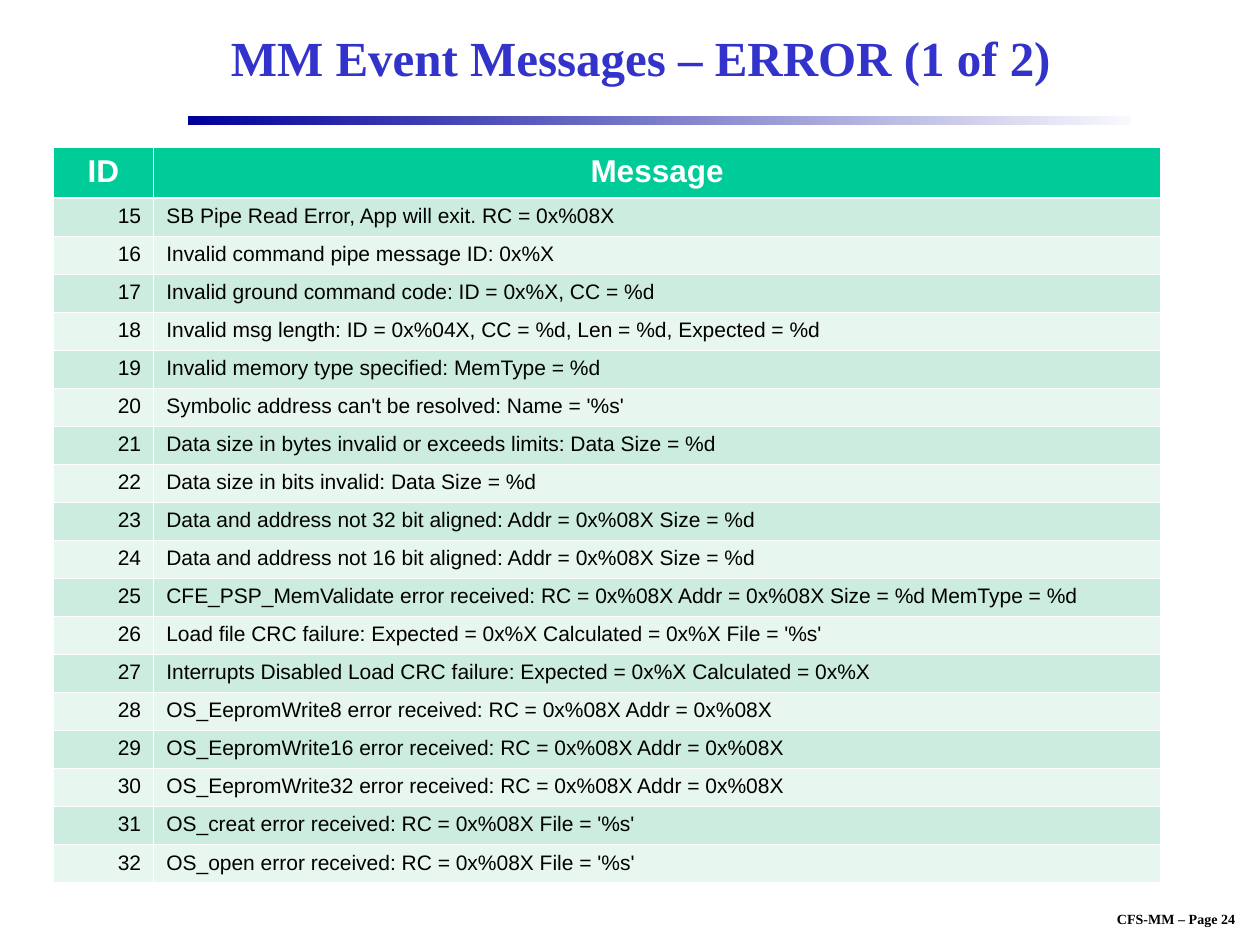
from pptx import Presentation
from pptx.dml.color import RGBColor
from pptx.enum.shapes import MSO_SHAPE as Shape
from pptx.enum.text import MSO_ANCHOR as Anchor, MSO_AUTO_SIZE as AutoSize, PP_ALIGN as Align
from pptx.oxml import parse_xml
from pptx.oxml.ns import nsdecls
from pptx.util import Inches, Pt

COLORS = {
    "title": "3333CC",
    "bar_start": "000099",
    "bar_end": "F9F9FD",
    "header": "00CC99",
    "odd_row": "CBECDE",
    "even_row": "E7F6EF",
    "white": "FFFFFF",
    "black": "000000",
}
FIRST_ID = 15
MESSAGES = [
    "SB Pipe Read Error, App will exit. RC = 0x%08X",
    "Invalid command pipe message ID: 0x%X",
    "Invalid ground command code: ID = 0x%X, CC = %d",
    "Invalid msg length: ID = 0x%04X, CC = %d, Len = %d, Expected = %d",
    "Invalid memory type specified: MemType = %d",
    "Symbolic address can't be resolved: Name = '%s'",
    "Data size in bytes invalid or exceeds limits: Data Size = %d",
    "Data size in bits invalid: Data Size = %d",
    "Data and address not 32 bit aligned: Addr = 0x%08X Size = %d",
    "Data and address not 16 bit aligned: Addr = 0x%08X Size = %d",
    "CFE_PSP_MemValidate error received: RC = 0x%08X Addr = 0x%08X Size = %d MemType = %d",
    "Load file CRC failure: Expected = 0x%X Calculated = 0x%X File = '%s'",
    "Interrupts Disabled Load CRC failure: Expected = 0x%X Calculated = 0x%X",
    "OS_EepromWrite8 error received: RC = 0x%08X Addr = 0x%08X",
    "OS_EepromWrite16 error received: RC = 0x%08X Addr = 0x%08X",
    "OS_EepromWrite32 error received: RC = 0x%08X Addr = 0x%08X",
    "OS_creat error received: RC = 0x%08X File = '%s'",
    "OS_open error received: RC = 0x%08X File = '%s'",
]


def write(frame, text, size=12, font="Arial", color="black", bold=False, align=Align.LEFT):
    para = frame.paragraphs[0]
    para.alignment = align
    span = para.add_run()
    span.text = text
    span.font.size = Pt(size)
    span.font.name = font
    span.font.bold = bold
    span.font.color.rgb = RGBColor.from_string(COLORS[color])


def add_borders(cell, **widths):
    """Draw white cell borders; widths are in points, keyed L, R, T and B."""
    properties = cell._tc.get_or_add_tcPr()
    for side, width in widths.items():
        properties.append(parse_xml(
            f'<a:ln{side} {nsdecls("a")} w="{Pt(width)}"><a:solidFill>'
            f'<a:srgbClr val="{COLORS["white"]}"/></a:solidFill></a:ln{side}>'))


deck = Presentation()
deck.slide_width, deck.slide_height = Inches(10), Inches(7.5)
page = deck.slides.add_slide(deck.slide_layouts[5])

# Title
title = page.shapes.title
title.left, title.top, title.width, title.height = (
    Inches(1.5), Inches(0.08), Inches(7.17), Inches(0.75))
title.text_frame.vertical_anchor = Anchor.MIDDLE
title.text_frame.auto_size = AutoSize.NONE
write(title.text_frame, "MM Event Messages – ERROR (1 of 2)", size=28,
      font="Times New Roman", color="title", bold=True, align=Align.CENTER)

# Gradient bar under the title
bar = page.shapes.add_shape(
    Shape.RECTANGLE, Inches(1.49), Inches(0.92), Inches(7.49), Inches(0.07))
bar.shadow.inherit = False
bar.line.fill.background()
bar.fill.gradient()
bar.fill.gradient_angle = 0
for stop, name in zip(bar.fill.gradient_stops, ("bar_start", "bar_end")):
    stop.color.rgb = RGBColor.from_string(COLORS[name])

# Message table
rows = [("ID", "Message")]
rows += [(str(number), message) for number, message in enumerate(MESSAGES, FIRST_ID)]
header_height, body_height = Inches(0.4), Inches(5.44)
table = page.shapes.add_table(
    len(rows), 2, Inches(0.42), Inches(1.17), Inches(8.79),
    header_height + body_height).table
table.columns[0].width, table.columns[1].width = Inches(0.8), Inches(7.99)

for index, texts in enumerate(rows):
    is_header = index == 0
    table.rows[index].height = header_height if is_header else body_height // len(MESSAGES)
    fill = "header" if is_header else "odd_row" if index % 2 else "even_row"
    for column, text in enumerate(texts):
        cell = table.cell(index, column)
        add_borders(cell, L=0.45, R=0.45, T=1.47 if index == 1 else 0.45,
                    B=1.47 if is_header else 0.45)
        cell.fill.solid()
        cell.fill.fore_color.rgb = RGBColor.from_string(COLORS[fill])
        if is_header:
            write(cell.text_frame, text, size=18, color="white", bold=True, align=Align.CENTER)
        else:
            write(cell.text_frame, text, align=Align.LEFT if column else Align.RIGHT)

# Page footer
footer = page.shapes.add_textbox(Inches(8.57), Inches(7.18), Inches(1.53), Inches(0.23))
footer.text_frame.word_wrap = False
footer.text_frame.auto_size = AutoSize.SHAPE_TO_FIT_TEXT
write(footer.text_frame, "CFS-MM – Page 24", size=8, font="Times New Roman",
      bold=True, align=Align.CENTER)

deck.save("out.pptx")
